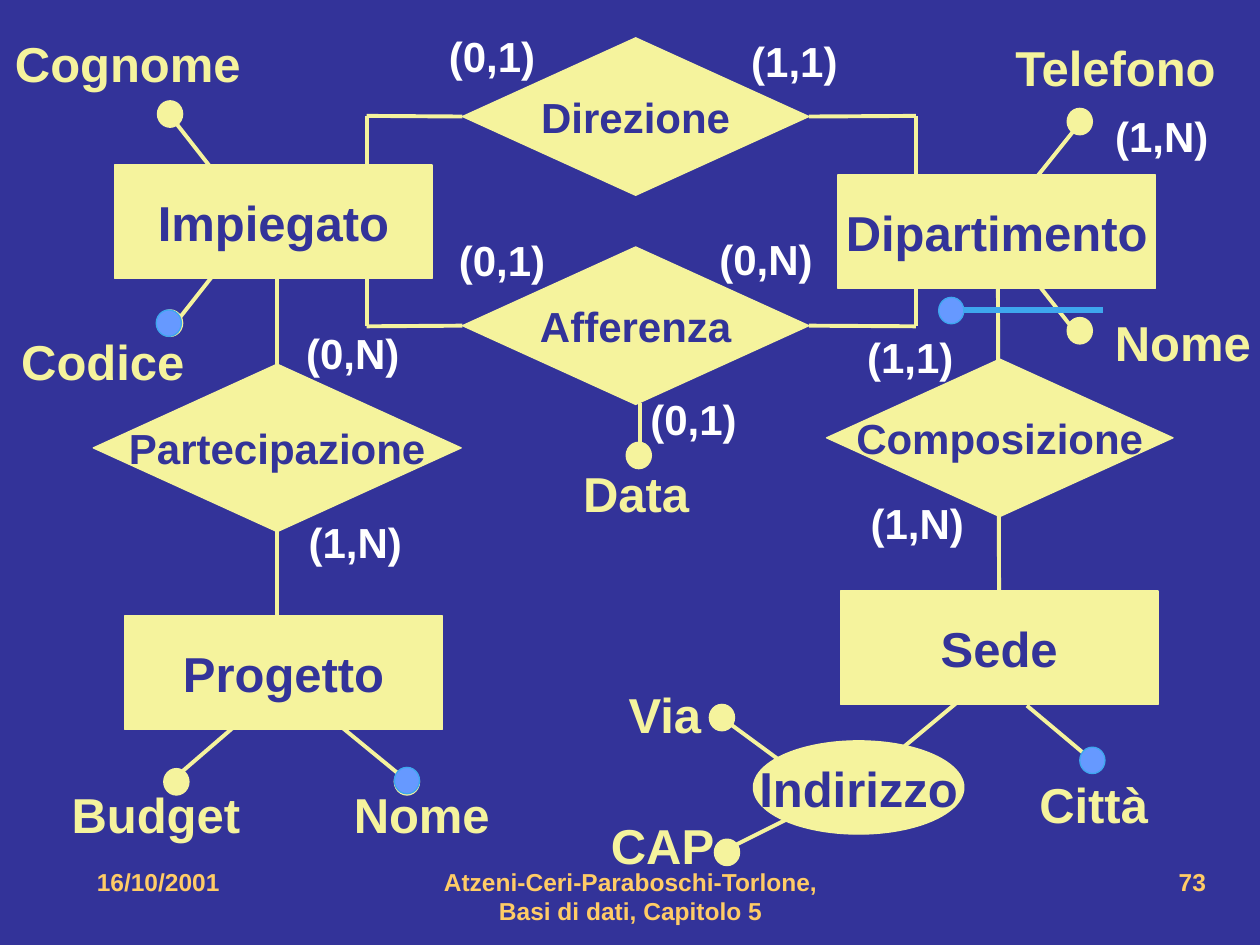
from dataclasses import dataclass

from lxml import etree
from pptx import Presentation
from pptx import util as u
from pptx.dml import color
from pptx.enum import shapes, text
from pptx.oxml import ns

SCALE = 9144
KIND = shapes.MSO_SHAPE
LEFT, RIGHT = 1, 3


@dataclass(frozen=True)
class Theme:
    font: str = "Arial"
    navy: str = "333399"
    cream: str = "F5F39D"
    white: str = "FFFFFF"
    gold: str = "FFCC66"
    blue: str = "6699FF"
    sky: str = "3EA7EE"
    large: int = 28
    mid: int = 24
    small: int = 14


def px(*sizes):
    return [u.Emu(size * SCALE) for size in sizes]


def rgb(code):
    return color.RGBColor.from_string(code)


def write(shape, words, font, size, tone, align=None, anchor=None, wrap=False, grow=False):
    frame = shape.text_frame
    frame.word_wrap = wrap
    if anchor is not None:
        frame.vertical_anchor = anchor
    if grow:
        frame.auto_size = text.MSO_AUTO_SIZE.SHAPE_TO_FIT_TEXT
    par = frame.paragraphs[0]
    par.alignment = align
    run = par.add_run()
    run.text = words
    run.font.name = font
    run.font.size = u.Pt(size)
    run.font.bold = True
    run.font.color.rgb = rgb(tone)


class Chart:
    def __init__(self, slide, theme):
        self.slide = slide
        self.theme = theme
        slide.background.fill.solid()
        slide.background.fill.fore_color.rgb = rgb(theme.navy)

    def label(self, words, box, **style):
        look = dict(font=self.theme.font, size=self.theme.large, tone=self.theme.cream)
        shape = self.slide.shapes.add_textbox(*px(*box))
        write(shape, words, **{**look, **style})

    def block(self, kind, box, words="", size=None, fill=None, edge=None):
        theme = self.theme
        shape = self.slide.shapes.add_shape(kind, *px(*box))
        shape.shadow.inherit = False
        shape.fill.solid()
        shape.fill.fore_color.rgb = rgb(fill or theme.cream)
        shape.line.color.rgb = rgb(edge or theme.cream)
        shape.line.width = u.Pt(0.75)
        if words:
            write(shape, words, theme.font, size or theme.large, theme.navy,
                  align=text.PP_ALIGN.CENTER, anchor=text.MSO_ANCHOR.MIDDLE)
        return shape

    def dot(self, x, y, **style):
        return self.block(KIND.OVAL, (x, y, 20, 21), **style)

    def wire(self, start, end, tail=None, tone=None, width=2.25):
        line = self.slide.shapes.add_connector(
            shapes.MSO_CONNECTOR.STRAIGHT, *px(*start, *end))
        line.line.color.rgb = rgb(tone or self.theme.cream)
        line.line.width = u.Pt(width)
        etree.SubElement(line._element.spPr, ns.qn("a:effectLst"))
        if tail:
            line.end_connect(*tail)


def draw(chart):
    theme = chart.theme
    mid = text.PP_ALIGN.CENTER

    chart.wire((792, 220), (793, 485))
    chart.wire((220, 214), (220, 514))

    for words, x, y in [
        ("Impiegato", 91, 131), ("Dipartimento", 665, 139),
        ("Progetto", 99, 489), ("Sede", 667, 469),
    ]:
        chart.block(KIND.RECTANGLE, (x, y, 252, 90), words)
    lead, member, *_ = [
        chart.block(KIND.DIAMOND, box, words, theme.mid)
        for words, box in [
            ("Direzione", (367, 30, 275, 125)),
            ("Afferenza", (367, 196, 275, 125)),
            ("Composizione", (656, 285, 275, 125)),
            ("Partecipazione", (74, 289, 292, 133))]
    ]

    for bond, y, edges in [(lead, 92, (142, 143)), (member, 259, (210, 209))]:
        for x, edge, tip, side in zip((291, 727), edges, (367, 642), (LEFT, RIGHT)):
            chart.wire((x, edge), (x, y))
            chart.wire((x, y), (tip, y), tail=(bond, side))

    for start, end in [
        ((183, 153), (136, 93)), ((142, 253), (175, 211)),
        ((808, 159), (856, 99)), ((850, 259), (817, 217)),
        ((508, 353), (508, 320)), ((196, 568), (138, 618)),
        ((271, 577), (321, 618)), ((759, 558), (711, 598)),
        ((815, 560), (865, 602)), ((575, 675), (625, 650)),
        ((625, 608), (576, 572)),
    ]:
        chart.wire(start, end)
    chart.block(KIND.OVAL, (598, 588, 167, 74), "Indirizzo")

    for spot in [(125, 80), (125, 246), (847, 86), (847, 252), (497, 351),
                 (130, 610), (313, 610), (563, 559), (567, 666)]:
        chart.dot(*spot)
    chart.wire((758, 246), (875, 246), tone=theme.sky, width=3)
    for spot in [(745, 236), (313, 609), (857, 593), (124, 246)]:
        chart.dot(*spot, fill=theme.blue, edge=theme.sky)

    for words, x, y, width in [
        ("Cognome", 2, 22, 201), ("Codice", 7, 258, 152),
        ("Telefono", 796, 25, 184), ("Nome", 875, 243, 130),
        ("Data", 453, 363, 106), ("Budget", 47, 618, 156),
        ("Nome", 271, 618, 130), ("Via", 489, 538, 80),
        ("CAP", 475, 642, 104), ("Città", 815, 610, 108),
    ]:
        chart.label(words, (x, y, width, 57), grow=True)

    for words, x, y in [
        ("(0,1)", 345, 19), ("(1,1)", 585, 23), ("(0,1)", 353, 181),
        ("(0,N)", 560, 180), ("(0,1)", 505, 307), ("(1,1)", 677, 258),
        ("(1,N)", 680, 390), ("(0,N)", 232, 255), ("(1,N)", 234, 405),
        ("(1,N)", 874, 83),
    ]:
        chart.label(words, (x, y, 96 if "N" in words else 91, 50), size=theme.mid,
                    tone=theme.white, align=mid, anchor=text.MSO_ANCHOR.MIDDLE, grow=True)

    for words, x, width, align in [
        ("16/10/2001", 67, 217, text.PP_ALIGN.LEFT),
        ("Atzeni-Ceri-Paraboschi-Torlone, Basi di dati, Capitolo 5", 342, 317, mid),
        ("73", 717, 250, text.PP_ALIGN.RIGHT),
    ]:
        chart.label(words, (x, 683, width, 50), size=theme.small,
                    tone=theme.gold, align=align, wrap=True)


def main():
    deck = Presentation()
    deck.slide_width, deck.slide_height = px(1000, 750)
    draw(Chart(deck.slides.add_slide(deck.slide_layouts[6]), Theme()))
    deck.save("out.pptx")


if __name__ == "__main__":
    main()
